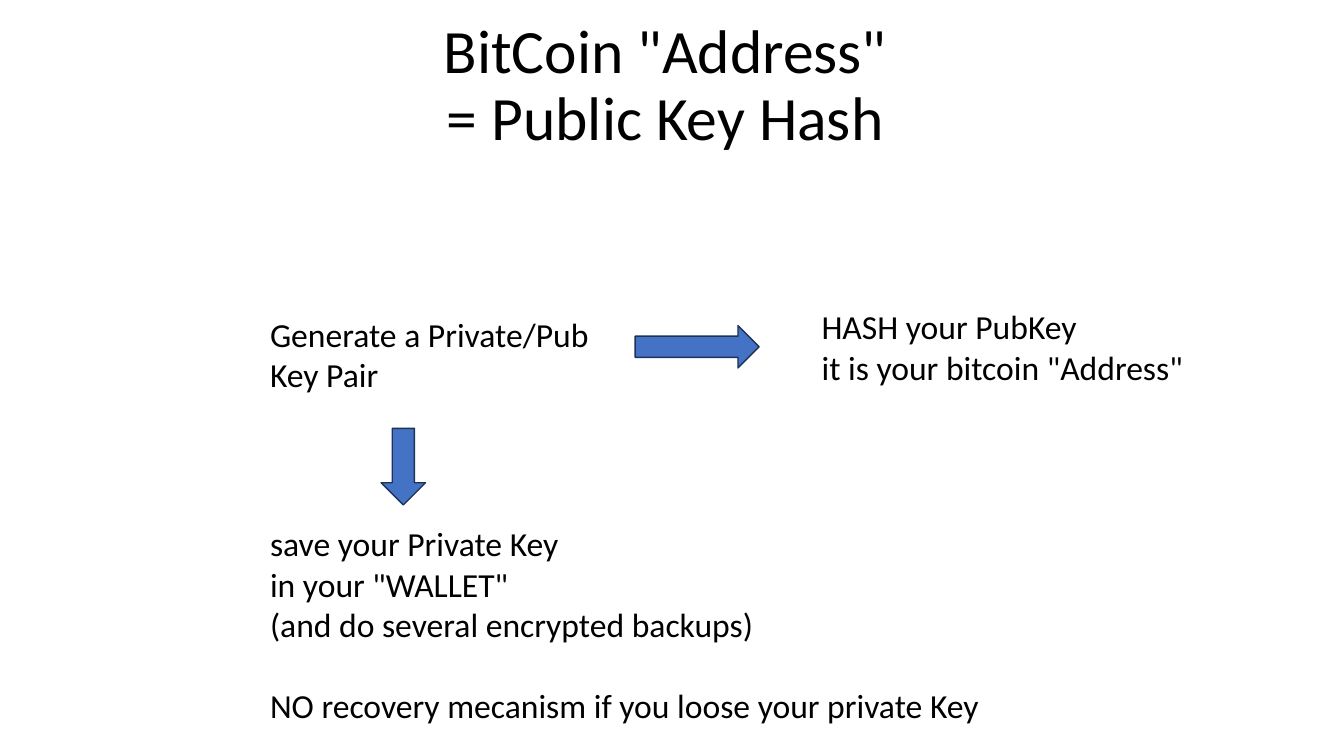
from dataclasses import dataclass

from pptx import Presentation
from pptx.dml.color import RGBColor
from pptx.enum.shapes import MSO_SHAPE
from pptx.enum.text import MSO_ANCHOR, MSO_AUTO_SIZE, PP_ALIGN
from pptx.slide import Slide
from pptx.text.text import _Paragraph
from pptx.util import Inches, Pt

FONT = "Calibri"
BLACK = "000000"
ARROW_FILL = "4472C4"
ARROW_LINE = "1E3256"


@dataclass(frozen=True)
class Note:
    left: float
    top: float
    width: float
    height: float
    lines: tuple[str, ...]
    closing: str = ""


@dataclass(frozen=True)
class Arrow:
    left: float
    top: float
    width: float
    height: float
    rotation: float = 0


TITLE_LINES = ('BitCoin "Address"', "= Public Key Hash")
NOTES = (
    Note(2.58, 3.06, 3.47, 0.91, ("Generate a Private/Pub", "Key Pair")),
    Note(8.05, 2.99, 3.82, 0.91,
         ("HASH your PubKey", 'it is your bitcoin "Address"')),
    Note(2.58, 5.14, 7.3, 2.12,
         ("save your Private Key", 'in your "WALLET"',
          "(and do several encrypted backups)"),
         closing="NO recovery mecanism if you loose your private Key"),
)
ARROWS = (
    Arrow(6.3, 3.23, 1.23, 0.42),
    Arrow(3.62, 4.41, 0.76, 0.44, rotation=90),
)


def color(value: str) -> RGBColor:
    return RGBColor.from_string(value)


def add_run(p: _Paragraph, text: str, size: float) -> None:
    r = p.add_run()
    r.text = text
    r.font.name = FONT
    r.font.size = Pt(size)
    r.font.color.rgb = color(BLACK)


def add_title(s: Slide) -> None:
    sp = s.shapes.title
    sp.left, sp.top = Inches(0.85), Inches(0)
    sp.width, sp.height = Inches(11.5), Inches(1.73)
    tf = sp.text_frame
    tf.vertical_anchor = MSO_ANCHOR.MIDDLE
    tf.auto_size = MSO_AUTO_SIZE.NONE
    p = tf.paragraphs[0]
    p.alignment = PP_ALIGN.CENTER
    p.line_spacing = 0.9
    for i, line in enumerate(TITLE_LINES):
        if i:
            p.add_line_break()
        add_run(p, line, 44)


def add_note(s: Slide, note: Note) -> None:
    """Add a text box whose closing line stands one line apart."""
    sp = s.shapes.add_textbox(Inches(note.left), Inches(note.top),
                              Inches(note.width), Inches(note.height))
    tf = sp.text_frame
    tf.word_wrap = False
    tf.auto_size = MSO_AUTO_SIZE.SHAPE_TO_FIT_TEXT
    for i, line in enumerate(note.lines):
        p = tf.add_paragraph() if i else tf.paragraphs[0]
        add_run(p, line, 24)
    if note.closing:
        p = tf.add_paragraph()
        p.space_before = Pt(29)
        add_run(p, note.closing, 24)


def add_arrow(s: Slide, arrow: Arrow) -> None:
    sp = s.shapes.add_shape(MSO_SHAPE.RIGHT_ARROW,
                            Inches(arrow.left), Inches(arrow.top),
                            Inches(arrow.width), Inches(arrow.height))
    sp.rotation = arrow.rotation
    sp.shadow.inherit = False
    sp.fill.solid()
    sp.fill.fore_color.rgb = color(ARROW_FILL)
    sp.line.color.rgb = color(ARROW_LINE)
    sp.line.width = Pt(1)


def main() -> None:
    prs = Presentation()
    prs.slide_width, prs.slide_height = Inches(13.33), Inches(7.5)
    s = prs.slides.add_slide(prs.slide_layouts.get_by_name("Title Only"))
    add_title(s)
    for note in NOTES:
        add_note(s, note)
    for arrow in ARROWS:
        add_arrow(s, arrow)
    prs.save("out.pptx")


if __name__ == "__main__":
    main()
